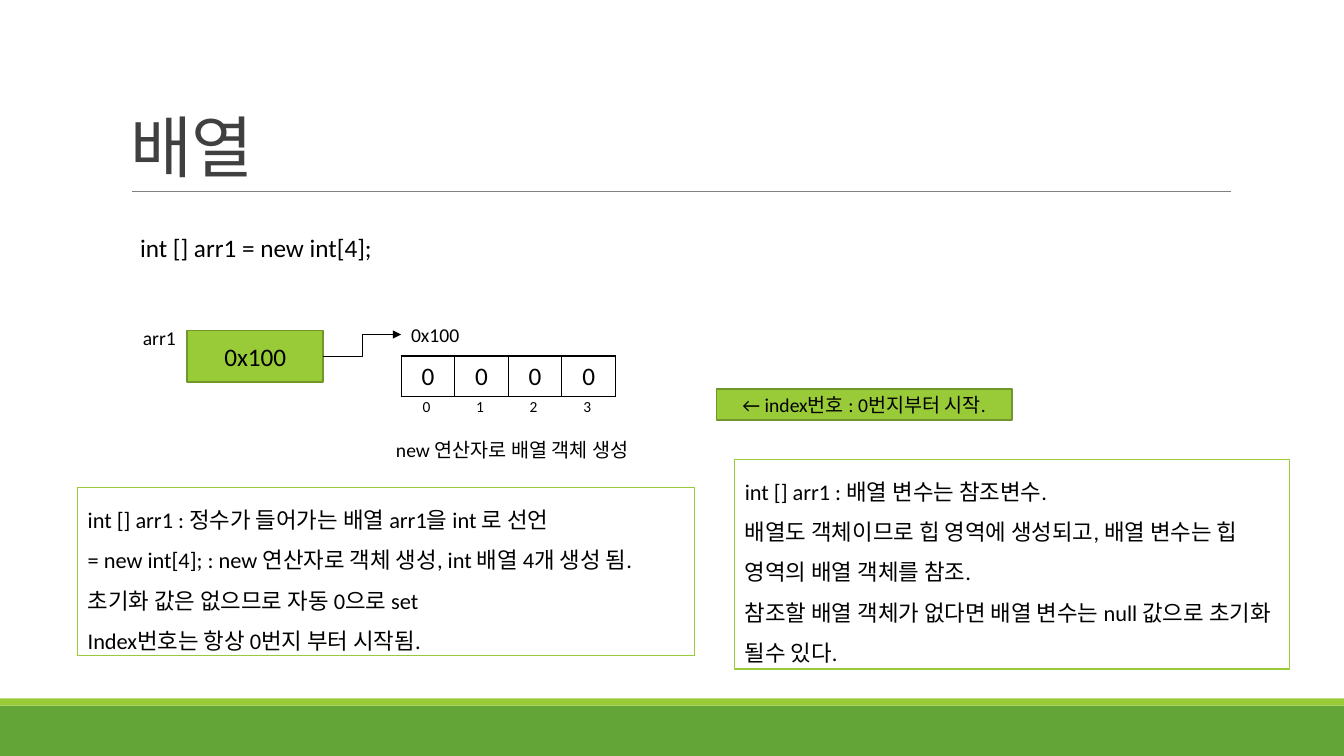
import dataclasses

import lxml.etree
import pptx
import pptx.dml.color
import pptx.enum.shapes
import pptx.enum.text
import pptx.oxml.ns
import pptx.util

Cm = pptx.util.Cm
Pt = pptx.util.Pt
ALIGN = pptx.enum.text.PP_ALIGN
ANCHOR = pptx.enum.text.MSO_ANCHOR
RECTANGLE = pptx.enum.shapes.MSO_SHAPE.RECTANGLE
CONNECTOR = pptx.enum.shapes.MSO_CONNECTOR


@dataclasses.dataclass(frozen=True)
class Theme:
    font: str = "Calibri"
    ink: str = "000000"
    heading: str = "404040"
    rule: str = "808080"
    band: str = "63A537"
    accent: str = "99CB38"
    outline: str = "719629"
    title_size: int = 48
    body_size: int = 18
    note_size: int = 16
    label_size: int = 14
    index_size: int = 11


THEME = Theme()


def color(code):
    return pptx.dml.color.RGBColor.from_string(code)


def child(parent, tag, **attributes):
    return lxml.etree.SubElement(parent, pptx.oxml.ns.qn(tag), attributes)


def write(frame, text, size=THEME.label_size, ink=THEME.ink, align=ALIGN.LEFT,
          anchor=ANCHOR.TOP, spacing=None, tracking=None, wrap=True, grow=False):
    frame.word_wrap = wrap
    frame.vertical_anchor = anchor
    if grow:
        frame.auto_size = pptx.enum.text.MSO_AUTO_SIZE.SHAPE_TO_FIT_TEXT
    for number, line in enumerate(text.split("\n")):
        para = frame.add_paragraph() if number else frame.paragraphs[0]
        para.alignment = align
        if spacing:
            para.line_spacing = spacing
        span = para.add_run()
        span.text = line
        span.font.name = THEME.font
        span.font.size = Pt(size)
        span.font.color.rgb = color(ink)
        if tracking:
            span.font._element.set("spc", str(tracking))


def add_label(page, left, top, width, height, text, **style):
    box = page.shapes.add_textbox(Cm(left), Cm(top), Cm(width), Cm(height))
    write(box.text_frame, text, **style)


def add_panel(page, left, top, width, height, fill=None, line=None, weight=1.25):
    box = page.shapes.add_shape(RECTANGLE, Cm(left), Cm(top), Cm(width), Cm(height))
    box.shadow.inherit = False
    if fill:
        box.fill.solid()
        box.fill.fore_color.rgb = color(fill)
    else:
        box.fill.background()
    if line:
        box.line.color.rgb = color(line)
        box.line.width = Pt(weight)
    else:
        box.line.fill.background()
    return box


def add_line(page, kind, start, end, ink, weight, arrow=False):
    line = page.shapes.add_connector(kind, *(Cm(value) for value in start + end))
    line.line.color.rgb = color(ink)
    line.line.width = Pt(weight)
    if arrow:
        child(line.line._get_or_add_ln(), "a:tailEnd", type="triangle")
    child(line._element.spPr, "a:effectLst")


def add_footer(page, left, top, width, height):
    strip = 0.18
    add_panel(page, left, top + strip, width, height - strip, fill=THEME.band)
    add_panel(page, left, top, width, strip, fill=THEME.accent)


def add_title(page, left, top, width, height, text):
    base = top + height
    add_line(page, CONNECTOR.STRAIGHT, (left + 0.28, base),
             (left + width + 0.02, base), THEME.rule, 0.5)
    add_label(page, left, top, width, height, text, size=THEME.title_size,
              ink=THEME.heading, anchor=ANCHOR.BOTTOM, spacing=0.85, tracking=-50)


def border_cell(cell):
    properties = cell._tc.get_or_add_tcPr()
    for place, side in enumerate(("a:lnL", "a:lnR", "a:lnT", "a:lnB")):
        edge = child(properties, side, w=str(Pt(1)))
        child(child(edge, "a:solidFill"), "a:srgbClr", val=THEME.ink)
        properties.insert(place, edge)


def add_array(page, left, top, width, height, values):
    step = width / len(values)
    table = page.shapes.add_table(1, len(values), Cm(left), Cm(top),
                                  Cm(width), Cm(height)).table
    table.first_row = table.horz_banding = False
    table.rows[0].height = Cm(height)
    for index, value in enumerate(values):
        table.columns[index].width = Cm(step)
        cell = table.cell(0, index)
        cell.fill.background()
        border_cell(cell)
        cell.vertical_anchor = ANCHOR.MIDDLE
        write(cell.text_frame, value, size=THEME.body_size, align=ALIGN.CENTER,
              anchor=ANCHOR.MIDDLE)
        add_label(page, left + 0.29 + index * step, top + height - 0.1, 0.71, 0.74,
                  str(index), size=THEME.index_size, wrap=False, grow=True)


def add_badge(page, left, top, width, height, text, size):
    box = add_panel(page, left, top, width, height, THEME.accent, THEME.outline)
    write(box.text_frame, text, size=size, align=ALIGN.CENTER, anchor=ANCHOR.MIDDLE)


def add_memory_diagram(page, left, top):
    address = "0x100"
    add_label(page, left, top + 0.1, 1.68, 0.86, "arr1", grow=True)
    add_badge(page, left + 1.37, top + 0.33, 3.43, 1.3, address, THEME.body_size)
    add_line(page, CONNECTOR.ELBOW, (left + 4.8, top + 0.98),
             (left + 6.76, top + 0.43), THEME.ink, 1, arrow=True)
    add_label(page, left + 6.76, top, 2.39, 0.86, address, grow=True)
    add_array(page, left + 6.76, top + 0.97, 5.4, 1.02, ["0"] * 4)
    add_label(page, left + 6.38, top + 2.9, 7.04, 0.86,
              "new 연산자로 배열 객체 생성", grow=True)


def add_note(page, left, top, width, height, text):
    box = add_panel(page, left, top, width, height, line=THEME.accent, weight=0.75)
    write(box.text_frame, text, size=THEME.note_size, spacing=1.5)


DECLARATION_NOTE = """int [] arr1 : 정수가 들어가는 배열 arr1을 int 로 선언
= new int[4]; : new 연산자로 객체 생성, int 배열 4개 생성 됨.
초기화 값은 없으므로 자동 0으로 set
Index번호는 항상 0번지 부터 시작됨."""
REFERENCE_NOTE = """int [] arr1 : 배열 변수는 참조변수.
배열도 객체이므로 힙 영역에 생성되고, 배열 변수는 힙 영역의 배열 객체를 참조.
참조할 배열 객체가 없다면 배열 변수는 null 값으로 초기화 될수 있다."""

deck = pptx.Presentation()
deck.slide_width, deck.slide_height = Cm(33.87), Cm(19.05)
page = deck.slides.add_slide(deck.slide_layouts[6])
add_footer(page, 0, 17.6, 33.87, 1.45)
add_title(page, 3.05, 0.79, 27.94, 4.04, "배열")
add_label(page, 3.28, 5.74, 6.45, 1.02, "int [] arr1 = new int[4];",
          size=THEME.body_size, wrap=False, grow=True)
add_memory_diagram(page, 3.35, 8)
add_note(page, 1.96, 12.29, 15.54, 4.24, DECLARATION_NOTE)
add_badge(page, 18.06, 9.8, 7.44, 0.79, "← index번호 : 0번지부터 시작.", THEME.label_size)
add_note(page, 18.52, 11.58, 13.97, 5.28, REFERENCE_NOTE)
deck.save("out.pptx")
